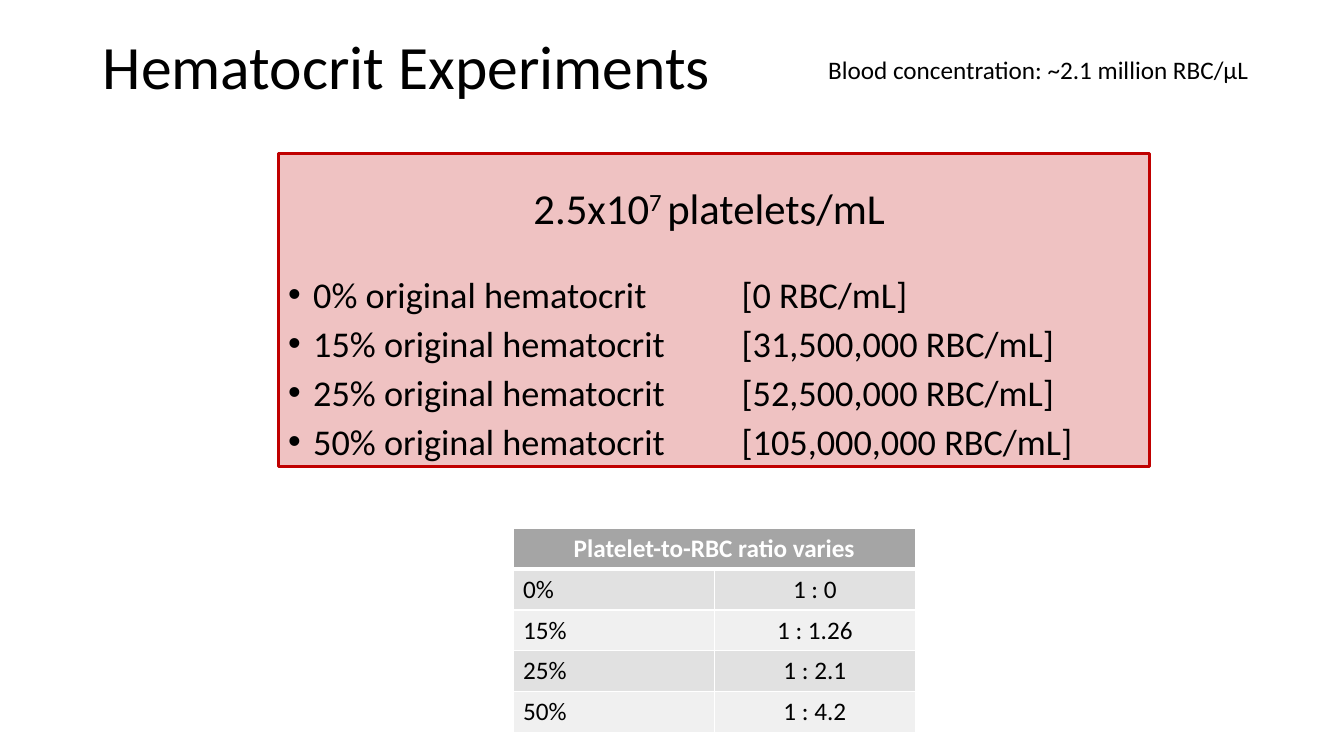
"""Builds the hematocrit experiments slide."""
from dataclasses import dataclass

import pptx
import pptx.dml.color
import pptx.enum.shapes
import pptx.enum.text
import pptx.oxml
import pptx.oxml.ns
import pptx.util

Cm = pptx.util.Cm
Pt = pptx.util.Pt
ALIGN = pptx.enum.text.PP_ALIGN
ANCHOR = pptx.enum.text.MSO_ANCHOR


@dataclass(frozen=True)
class Theme:
    """Colours, font and type sizes of the slide."""
    font: str = "Calibri"
    ink: str = "000000"
    paper: str = "FFFFFF"
    blood: str = "C00000"
    blood_alpha: int = 24000
    header: str = "A5A5A5"
    bands: tuple = ("E1E1E1", "F0F0F0")
    title: float = 44
    heading: float = 30.5
    bullet: float = 25.9
    small: float = 18


THEME = Theme()
CONDITIONS = [
    ("0%", "0", "1 : 0"),
    ("15%", "31,500,000", "1 : 1.26"),
    ("25%", "52,500,000", "1 : 2.1"),
    ("50%", "105,000,000", "1 : 4.2"),
]


def rgb(code):
    """Return the colour for a hex code."""
    return pptx.dml.color.RGBColor.from_string(code)


def apply(target, formats):
    """Set every format value on the target."""
    for name, value in formats.items():
        setattr(target, name, value)


def add_run(paragraph, text, size, color=THEME.ink, bold=False):
    """Append a run in the slide's font."""
    run = paragraph.add_run()
    run.text = text
    apply(run.font, {"name": THEME.font, "size": Pt(size), "bold": bold})
    run.font.color.rgb = rgb(color)
    return run


def add_label(slide, text, size, left, top, width, height, anchor):
    """Add a one-line text box."""
    frame = slide.shapes.add_textbox(Cm(left), Cm(top), Cm(width), Cm(height)).text_frame
    apply(frame, {"word_wrap": True, "vertical_anchor": anchor})
    paragraph = frame.paragraphs[0]
    add_run(paragraph, text, size)
    return paragraph


def add_bullet(paragraph):
    """Give a paragraph a hanging bullet."""
    properties = paragraph._p.get_or_add_pPr()
    properties.set("marL", str(Cm(0.635)))
    properties.set("indent", str(-Cm(0.635)))
    namespace = pptx.oxml.ns.nsdecls("a")
    for xml in (f'<a:buFont {namespace} typeface="Arial"/>',
                f'<a:buChar {namespace} char="•"/>'):
        properties.append(pptx.oxml.parse_xml(xml))


def add_panel(slide):
    """Add the red panel that lists the hematocrit conditions."""
    panel = slide.shapes.add_shape(
        pptx.enum.shapes.MSO_SHAPE.RECTANGLE, Cm(7.01), Cm(3.86), Cm(21.97), Cm(7.9))
    panel.shadow.inherit = False
    panel.fill.solid()
    panel.fill.fore_color.rgb = rgb(THEME.blood)
    tint = panel._element.spPr.find(".//" + pptx.oxml.ns.qn("a:srgbClr"))
    tint.append(pptx.oxml.parse_xml(
        f'<a:alpha {pptx.oxml.ns.nsdecls("a")} val="{THEME.blood_alpha}"/>'))
    panel.line.color.rgb = rgb(THEME.blood)
    panel.line.width = Pt(2)

    frame = panel.text_frame
    apply(frame, {"word_wrap": True, "vertical_anchor": ANCHOR.TOP, "margin_top": Cm(0.97)})
    heading = frame.paragraphs[0]
    apply(heading, {"alignment": ALIGN.CENTER, "line_spacing": 0.8})
    add_run(heading, "2.5x10", THEME.heading)
    exponent = add_run(heading, "7 ", THEME.heading)
    exponent.font._element.set("baseline", "30000")
    add_run(heading, "platelets/mL ", THEME.heading)

    for index, (share, cells, _) in enumerate(CONDITIONS):
        condition = frame.add_paragraph()
        apply(condition, {"alignment": ALIGN.LEFT, "line_spacing": 0.8,
                          "space_before": Pt(10 if index else 34.4)})
        add_bullet(condition)
        add_run(condition, f"{share} original hematocrit\t\t[{cells} RBC/mL]", THEME.bullet)


def add_borders(cell, top, bottom):
    """Draw white borders around a cell, with widths in points."""
    properties = cell._tc.get_or_add_tcPr()
    for side, width in {"L": 1, "R": 1, "T": top, "B": bottom}.items():
        properties.append(pptx.oxml.parse_xml(
            f'<a:ln{side} {pptx.oxml.ns.nsdecls("a")} w="{Pt(width)}"><a:solidFill>'
            f'<a:srgbClr val="{THEME.paper}"/></a:solidFill></a:ln{side}>'))


def fill_cell(cell, text, fill, alignment, color=THEME.ink, bold=False, top=1, bottom=1):
    """Write and format one table cell."""
    add_borders(cell, top, bottom)
    cell.fill.solid()
    cell.fill.fore_color.rgb = rgb(fill)
    paragraph = cell.text_frame.paragraphs[0]
    paragraph.alignment = alignment
    if text:
        add_run(paragraph, text, THEME.small, color, bold)


def add_ratios(slide):
    """Add the table of platelet-to-RBC ratios."""
    rows = len(CONDITIONS) + 1
    ratios = slide.shapes.add_table(
        rows, 2, Cm(12.93), Cm(13.31), Cm(10.14), Cm(1.03 * rows)).table
    ratios.cell(0, 0).merge(ratios.cell(0, 1))
    for column, text in enumerate(("Platelet-to-RBC ratio varies", "")):
        fill_cell(ratios.cell(0, column), text, THEME.header, ALIGN.CENTER,
                  THEME.paper, True, bottom=3)
    for row, (share, _, ratio) in enumerate(CONDITIONS, start=1):
        band = THEME.bands[(row - 1) % 2]
        top = 3 if row == 1 else 1
        fill_cell(ratios.cell(row, 0), share, band, ALIGN.LEFT, top=top)
        fill_cell(ratios.cell(row, 1), ratio, band, ALIGN.CENTER, top=top)


def main():
    """Build and save the slide."""
    deck = pptx.Presentation()
    apply(deck, {"slide_width": Cm(33.87), "slide_height": Cm(19.05)})
    slide = deck.slides.add_slide(deck.slide_layouts[6])
    title = add_label(slide, "Hematocrit Experiments", THEME.title,
                      2.34, -0.08, 29.21, 3.68, ANCHOR.MIDDLE)
    title.line_spacing = 0.9
    add_panel(slide)
    add_label(slide, "Blood concentration: ~2.1 million RBC/µL", THEME.small,
              20.62, 1.24, 11.53, 1.02, ANCHOR.TOP)
    add_ratios(slide)
    deck.save("out.pptx")


if __name__ == "__main__":
    main()
